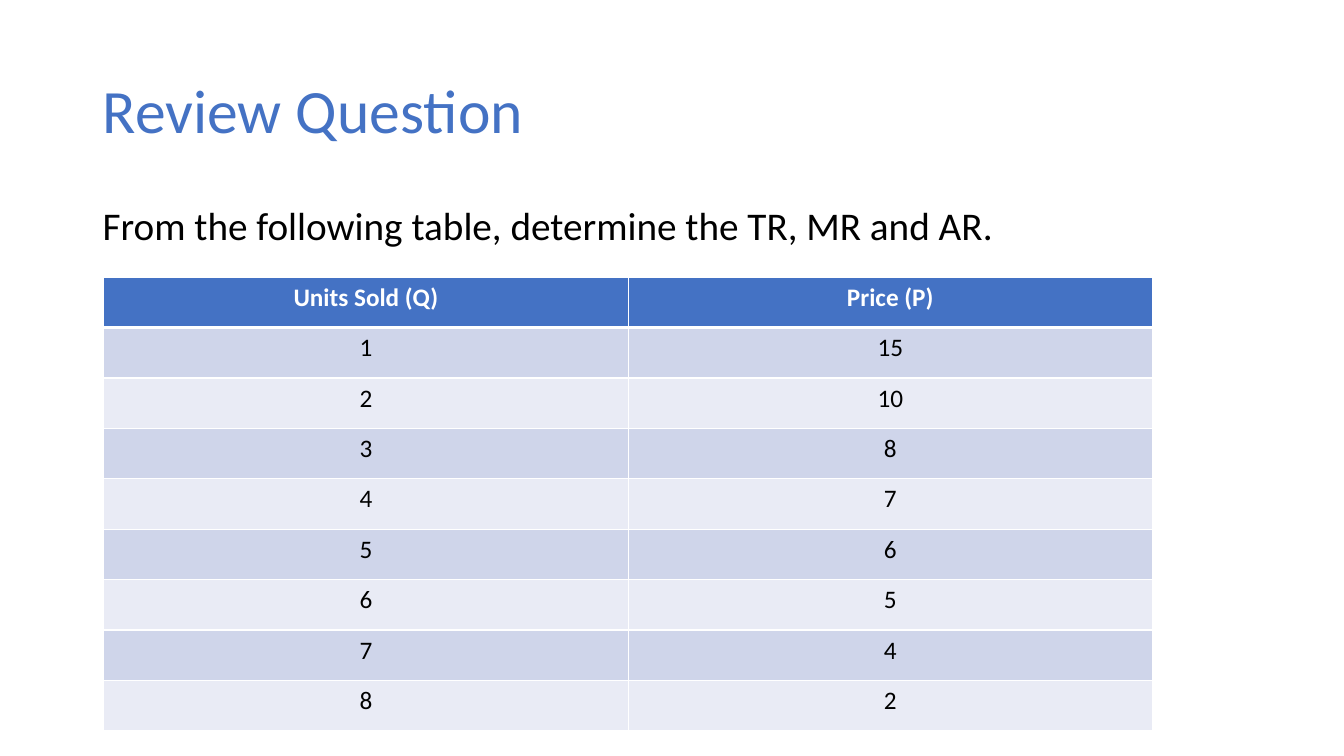
from lxml import etree
from pptx import Presentation
from pptx.dml.color import RGBColor
from pptx.enum.text import MSO_ANCHOR, PP_ALIGN
from pptx.oxml.ns import qn
from pptx.util import Inches, Pt

LEFT, CENTER = PP_ALIGN.LEFT, PP_ALIGN.CENTER
MIDDLE, TOP = MSO_ANCHOR.MIDDLE, MSO_ANCHOR.TOP

# Content
TITLE = "Review Question"
QUESTION = "From the following table, determine the TR, MR and AR."
HEADER = ("Units Sold (Q)", "Price (P)")
PRICES = [15, 10, 8, 7, 6, 5, 4, 2]

# Look
FONT = "Calibri"
BLUE, BLACK, WHITE = "4472C4", "000000", "FFFFFF"
BANDS = ("E9EBF5", "CFD5EA")
COL_W, ROW_H = 5.2, 0.5


def color(value):
    return RGBColor.from_string(value)


def write(tf, text, size, hex_color, align=LEFT, bold=False, spacing=None, before=0):
    p = tf.paragraphs[0]
    p.alignment = align
    p.line_spacing = spacing
    p.space_before = Pt(before)
    r = p.add_run()
    r.text = text
    r.font.name, r.font.size, r.font.bold = FONT, Pt(size), bold
    r.font.color.rgb = color(hex_color)


def set_borders(cell, widths):
    tcPr = cell._tc.get_or_add_tcPr()
    for side, width in zip("LRTB", widths):
        ln = etree.SubElement(tcPr, qn(f"a:ln{side}"), w=str(Pt(width)))
        fill = etree.SubElement(ln, qn("a:solidFill"))
        etree.SubElement(fill, qn("a:srgbClr"), val=WHITE)


prs = Presentation()
prs.slide_width, prs.slide_height = Inches(13.33), Inches(7.5)
s = prs.slides.add_slide(prs.slide_layouts[5])

# Title
title = s.shapes.title
title.left, title.top = Inches(0.92), Inches(0.4)
title.width, title.height = Inches(11.5), Inches(1.45)
title.text_frame.vertical_anchor = MIDDLE
write(title.text_frame, TITLE, 44, BLUE, spacing=0.9)

# Question
box = s.shapes.add_textbox(Inches(0.92), Inches(2), Inches(11.5), Inches(4.76))
box.text_frame.word_wrap = True
box.text_frame.vertical_anchor = TOP
write(box.text_frame, QUESTION, 28, BLACK, spacing=0.9, before=10)

# Price table
rows = [HEADER] + [(str(q), str(price)) for q, price in enumerate(PRICES, 1)]
table = s.shapes.add_table(len(rows), len(HEADER), Inches(1.03), Inches(2.75),
                           Inches(COL_W * len(HEADER)), Inches(ROW_H * len(rows))).table
for col in table.columns:
    col.width = Inches(COL_W)
for i, values in enumerate(rows):
    table.rows[i].height = Inches(ROW_H)
    is_header = i == 0
    for j, value in enumerate(values):
        cell = table.cell(i, j)
        set_borders(cell, (1, 1, 3 if i == 1 else 1, 3 if is_header else 1))
        cell.fill.solid()
        cell.fill.fore_color.rgb = color(BLUE if is_header else BANDS[i % 2])
        write(cell.text_frame, value, 18, WHITE if is_header else BLACK, CENTER, is_header)

prs.save("out.pptx")
